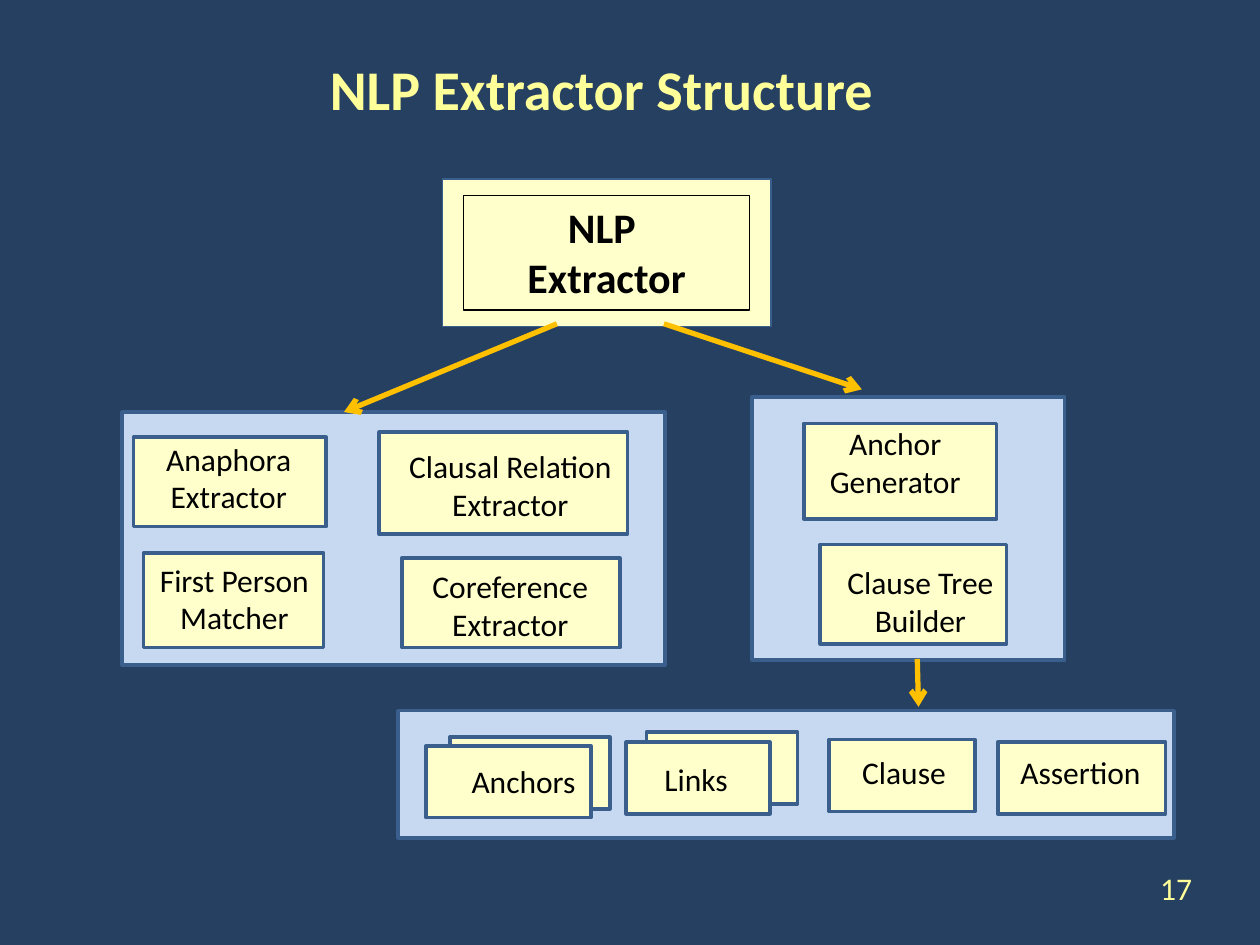
from lxml import etree
from pptx import Presentation
from pptx.dml.color import RGBColor
from pptx.enum.shapes import MSO_CONNECTOR, MSO_SHAPE
from pptx.enum.text import MSO_ANCHOR, PP_ALIGN
from pptx.oxml.ns import qn
from pptx.util import Inches, Pt

RECT, STRAIGHT = MSO_SHAPE.RECTANGLE, MSO_CONNECTOR.STRAIGHT
LEFT, CENTER = PP_ALIGN.LEFT, PP_ALIGN.CENTER
TOP, MIDDLE = MSO_ANCHOR.TOP, MSO_ANCHOR.MIDDLE

NAVY = RGBColor(0x25, 0x40, 0x61)
PALE_BLUE = RGBColor(0xC6, 0xD9, 0xF1)
CREAM = RGBColor(0xFF, 0xFF, 0xCC)
YELLOW = RGBColor(0xFF, 0xFF, 0x99)
EDGE = RGBColor(0x3A, 0x5F, 0x8C)
AMBER = RGBColor(0xFF, 0xC0, 0x00)
BLACK = RGBColor(0, 0, 0)

# Each part: label, its box, its text area; places are relative to the panel.
# A box without a label is the rear card of a stack.
MATCHERS = [
    ("Anaphora Extractor", (0.09, 0.2, 1.53, 0.71), (0.22, 0.17, 1.25, 0.71)),
    ("Clausal Relation Extractor", (2.04, 0.16, 1.97, 0.81), (2.13, 0.23, 1.9, 0.71)),
    ("First Person Matcher", (0.17, 1.12, 1.43, 0.75), (0.17, 1.13, 1.44, 0.71)),
    ("Coreference\nExtractor", (2.22, 1.16, 1.73, 0.71), (2.29, 1.18, 1.58, 0.71)),
]
BUILDERS = [
    ("Anchor Generator", (0.41, 0.21, 1.53, 0.76), (0.47, 0.17, 1.33, 0.86)),
    ("Clause Tree Builder", (0.54, 1.17, 1.48, 0.79), (0.6, 1.27, 1.47, 0.71)),
]
RESULTS = [
    (None, (0.41, 0.21, 1.27, 0.57), None),
    ("Anchors", (0.22, 0.28, 1.31, 0.57), (0.26, 0.36, 1.47, 0.4)),
    (None, (1.97, 0.17, 1.2, 0.57), None),
    ("Links", (1.81, 0.25, 1.14, 0.57), (1.78, 0.34, 1.17, 0.4)),
    ("Clause", (3.42, 0.23, 1.16, 0.57), (3.45, 0.29, 1.13, 0.4)),
    ("Assertion", (4.76, 0.25, 1.33, 0.57), (4.79, 0.29, 1.25, 0.4)),
]
PANELS = [
    ((3.16, 5.64, 6.16, 1.01), RESULTS),
    ((5.97, 3.15, 2.48, 2.09), BUILDERS),
    ((0.97, 3.27, 4.31, 2.01), MATCHERS),
]
ARROWS = [
    (4.42, 2.57, 2.73, 3.27),
    (5.27, 2.57, 6.84, 3.09),
    (7.28, 5.23, 7.29, 5.61),
]


def inches(lengths):
    return [Inches(length) for length in lengths]


def within(box, part):
    """Turn a place relative to box into a place on the slide."""
    return box[0] + part[0], box[1] + part[1], part[2], part[3]


def write(holder, text, size=18, color=BLACK, bold=False, align=CENTER, anchor=TOP):
    frame = holder.text_frame
    frame.word_wrap = True
    frame.vertical_anchor = anchor
    frame.text = text
    font_format = {"name": "Calibri", "size": Pt(size), "bold": bold}
    for paragraph in frame.paragraphs:
        paragraph.alignment = align
        for run in paragraph.runs:
            for attribute, value in font_format.items():
                setattr(run.font, attribute, value)
            run.font.color.rgb = color


def add_label(slide, box, text, **text_format):
    write(slide.shapes.add_textbox(*inches(box)), text, **text_format)


def add_box(slide, box, fill, edge=EDGE, width=2):
    rect = slide.shapes.add_shape(RECT, *inches(box))
    rect.shadow.inherit = False
    if fill is None:
        rect.fill.background()
    else:
        rect.fill.solid()
        rect.fill.fore_color.rgb = fill
    rect.line.color.rgb = edge
    rect.line.width = Pt(width)
    return rect


def add_title(slide, box):
    title = slide.shapes.title
    places = dict(zip(("left", "top", "width", "height"), inches(box)))
    for attribute, value in places.items():
        setattr(title, attribute, value)
    write(title, "NLP Extractor Structure", size=32, color=YELLOW, bold=True, anchor=MIDDLE)


def add_root(slide, box):
    add_box(slide, box, CREAM, width=0.75)
    frame = add_box(slide, within(box, (0.17, 0.13, 2.27, 0.91)), None, BLACK, 0.75)
    write(frame, "NLP \nExtractor", size=24, bold=True)


def add_panel(slide, box, parts):
    add_box(slide, box, PALE_BLUE)
    for label, card, text_area in parts:
        add_box(slide, within(box, card), CREAM)
        if label:
            add_label(slide, within(box, text_area), label)


def add_arrow(slide, ends):
    arrow = slide.shapes.add_connector(STRAIGHT, *inches(ends))
    arrow.line.color.rgb = AMBER
    arrow.line.width = Pt(3)
    etree.SubElement(arrow.line._get_or_add_ln(), qn("a:tailEnd"), type="arrow")
    etree.SubElement(arrow._element.spPr, qn("a:effectLst"))


def build():
    deck = Presentation()
    deck.slide_width, deck.slide_height = inches((10, 7.5))
    slide = deck.slides.add_slide(deck.slide_layouts[5])
    slide.background.fill.solid()
    slide.background.fill.fore_color.rgb = NAVY

    add_title(slide, (0.86, 0.39, 7.83, 0.62))
    add_root(slide, (3.51, 1.42, 2.61, 1.17))
    for box, parts in PANELS:
        add_panel(slide, box, parts)
    for ends in ARROWS:
        add_arrow(slide, ends)

    # Page number
    add_label(slide, (9.11, 6.85, 0.57, 0.42), "17", color=YELLOW, align=LEFT)
    deck.save("out.pptx")


build()
